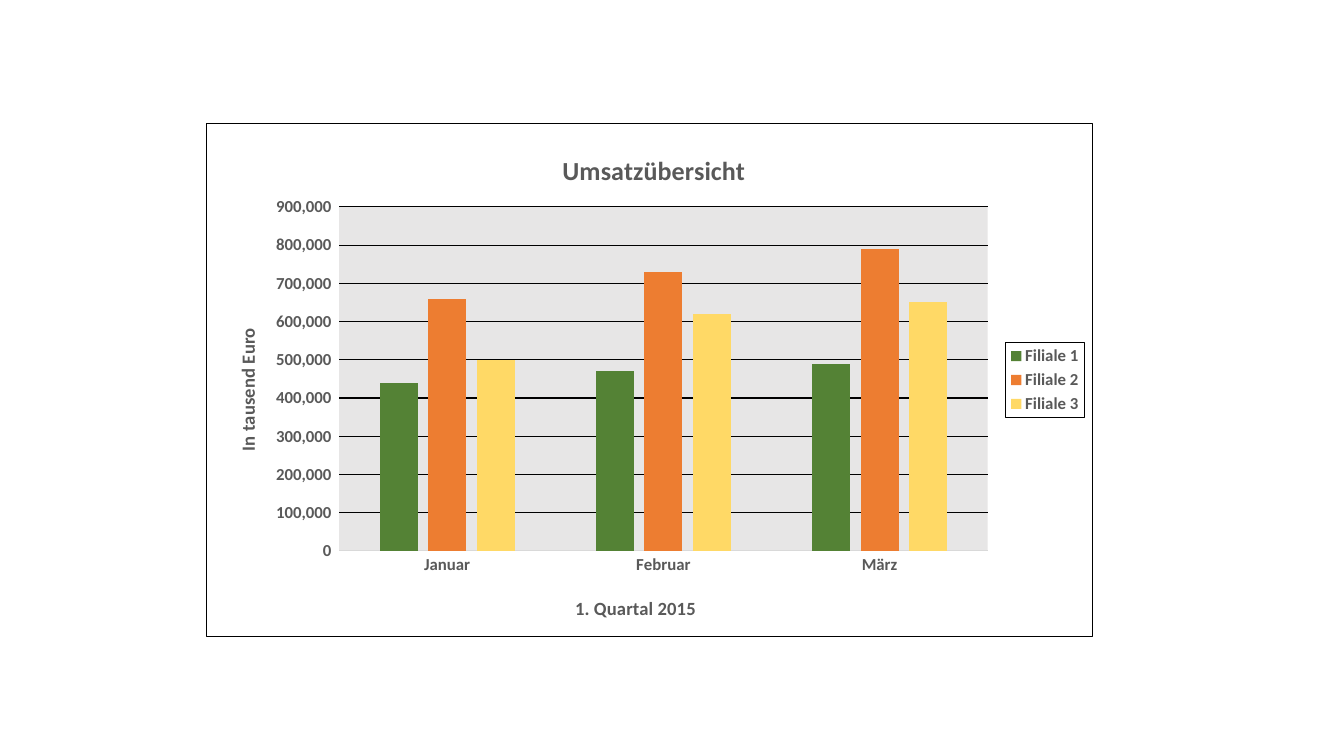
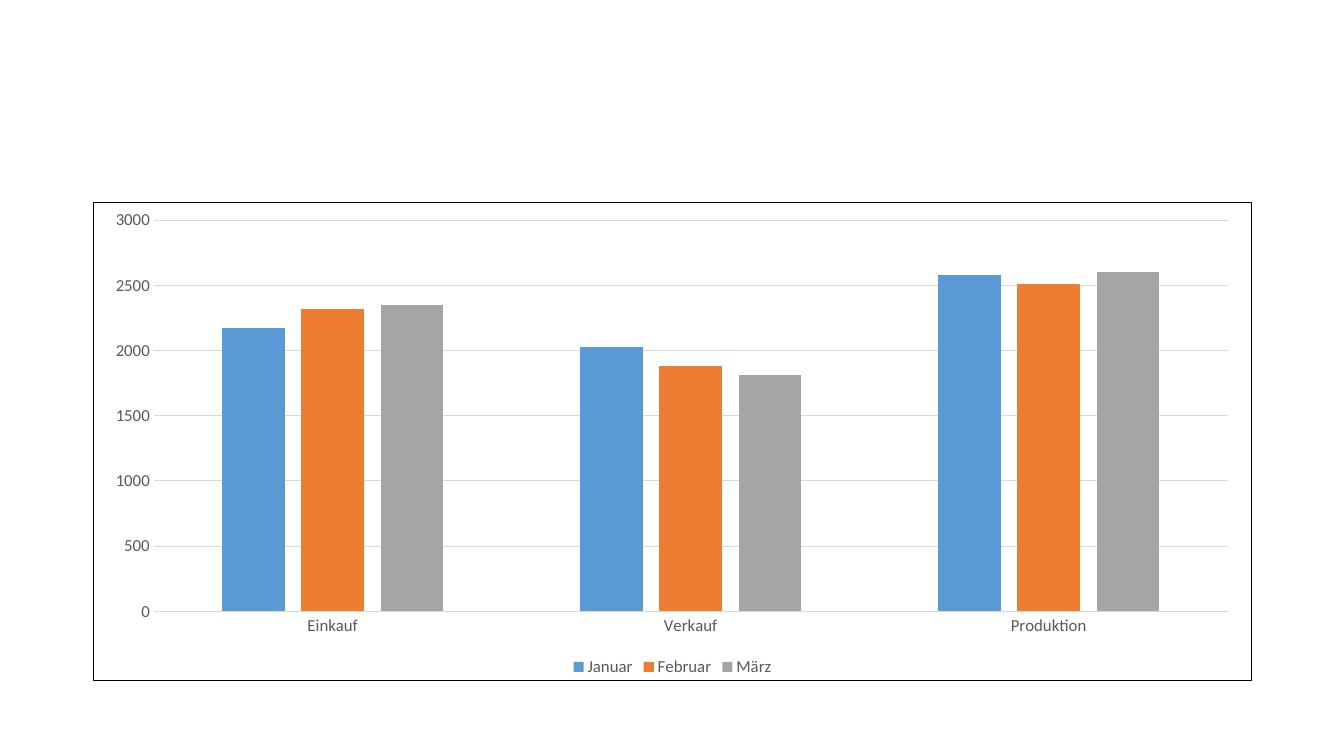
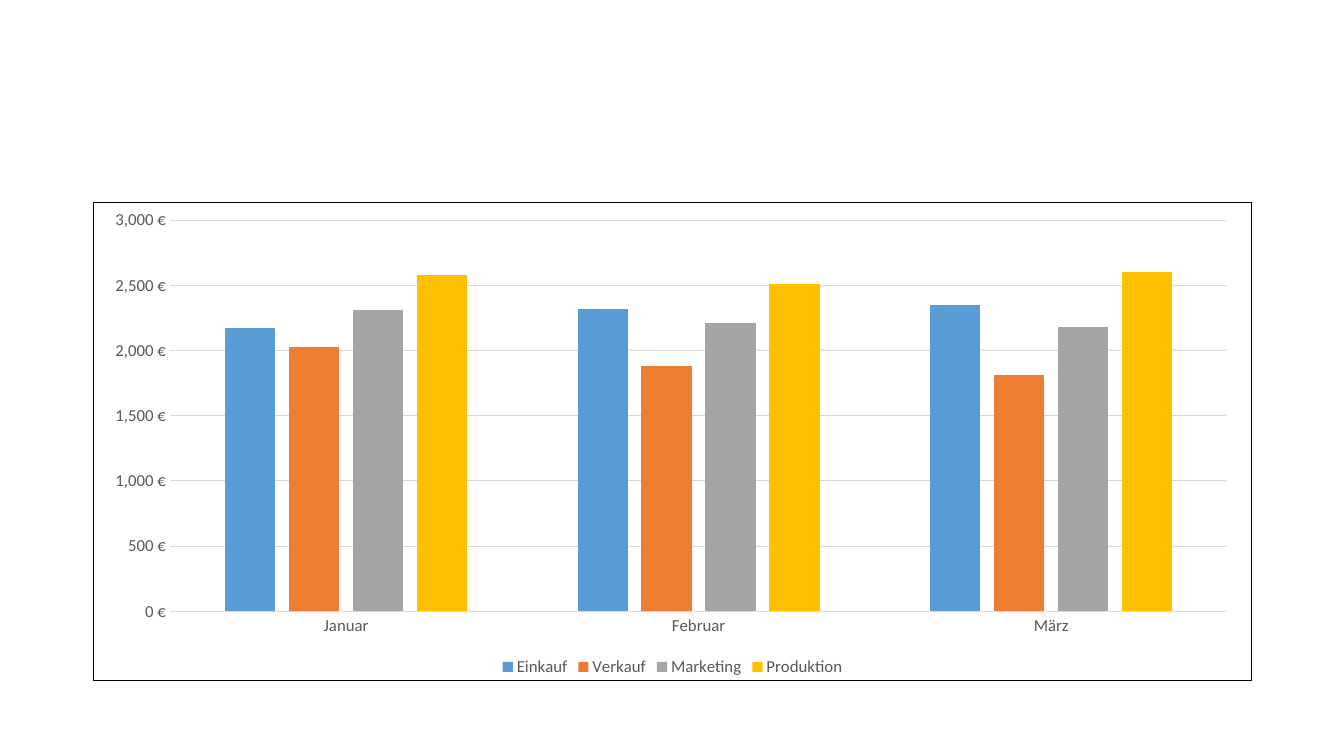
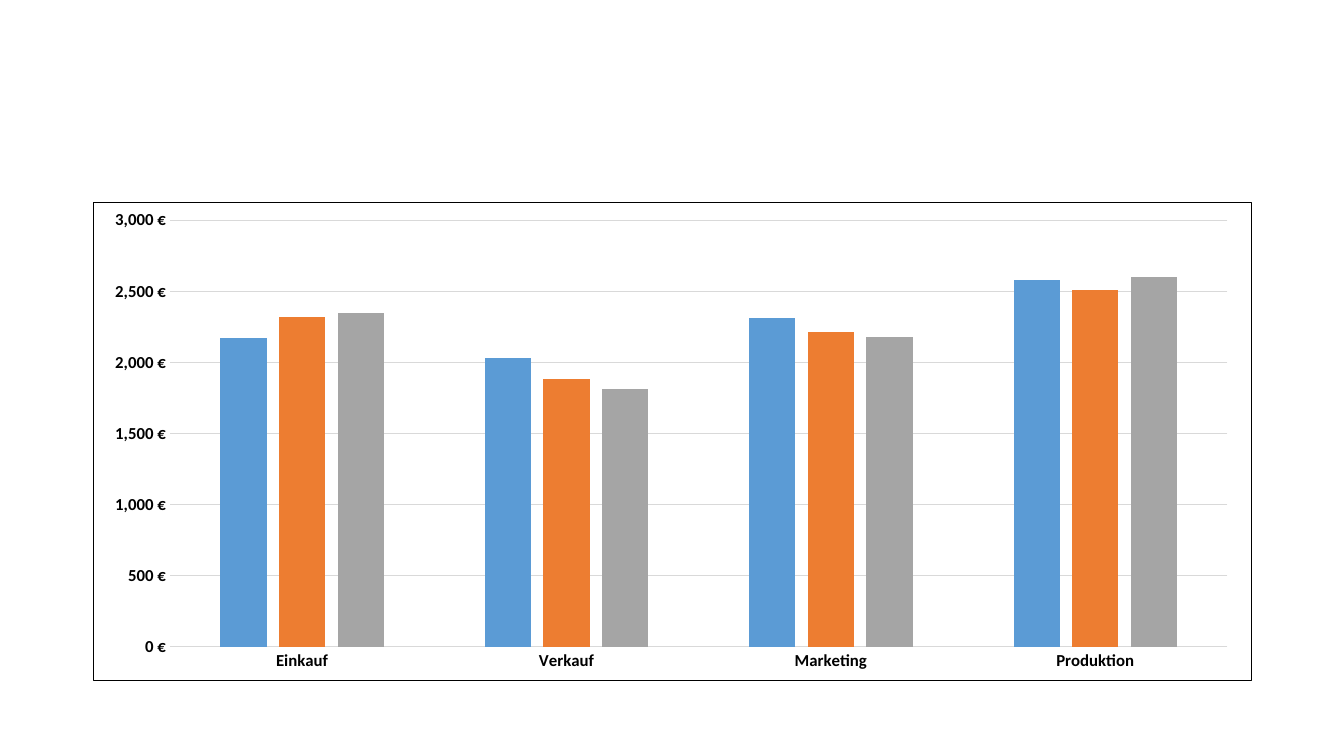
from pptx import Presentation
from pptx.chart.data import CategoryChartData
from pptx.dml.color import RGBColor
from pptx.enum.chart import XL_CHART_TYPE, XL_LEGEND_POSITION, XL_TICK_MARK
from pptx.oxml import parse_xml
from pptx.oxml.ns import nsdecls, qn
from pptx.util import Inches, Pt

CLUSTERED = XL_CHART_TYPE.COLUMN_CLUSTERED
RIGHT, BOTTOM = XL_LEGEND_POSITION.RIGHT, XL_LEGEND_POSITION.BOTTOM
NO_TICK = XL_TICK_MARK.NONE

COLORS = {
    "black": "000000", "text": "595959", "grid": "D9D9D9", "plot": "E7E6E6",
    "green": "548235", "orange": "ED7D31", "yellow": "FFD966",
    "blue": "5B9BD5", "gray": "A5A5A5", "gold": "FFC000",
}
PALETTE = ["blue", "orange", "gray", "gold"]
EURO = '#,##0\\ "€"'
MONTHS = ["Januar", "Februar", "März"]
COSTS = {
    "Einkauf": [2170, 2320, 2350],
    "Verkauf": [2030, 1880, 1810],
    "Marketing": [2310, 2210, 2180],
    "Produktion": [2580, 2510, 2600],
}


def rgb(name):
    return RGBColor.from_string(COLORS[name])


def format_font(font, size=12, color="text", bold=False):
    font.name = "Calibri"
    font.size = Pt(size)
    font.bold = bold
    font.color.rgb = rgb(color)


def write(frame, text, **style):
    frame.text = text
    format_font(frame.paragraphs[0].runs[0].font, **style)


def draw_line(line, color):
    line.color.rgb = rgb(color)
    line.width = Pt(0.75)


def area_format(fill=None, border=None):
    def paint(color):
        if color is None:
            return "<a:noFill/>"
        return f'<a:solidFill><a:srgbClr val="{COLORS[color]}"/></a:solidFill>'
    return parse_xml(f'<c:spPr {nsdecls("c", "a")}>{paint(fill)}'
                     f'<a:ln w="{Pt(0.75)}">{paint(border)}</a:ln></c:spPr>')


class Deck:
    def __init__(self):
        self.prs = Presentation()
        self.prs.slide_width = Inches(13.33)
        self.prs.slide_height = Inches(7.5)
        self.slide = None

    def new_slide(self):
        self.slide = self.prs.slides.add_slide(self.prs.slide_layouts[6])

    def columns(self, categories, series, plot, top, step, frame=(0.92, 2, 11.5, 4.76),
                colors=PALETTE, number_format="General", gap=219,
                text="text", bold=False, grid="grid"):
        data = CategoryChartData()
        data.categories = categories
        for name, values in series.items():
            data.add_series(name, values)
        chart = self.slide.shapes.add_chart(
            CLUSTERED, *[Inches(length) for length in frame], data).chart
        format_font(chart.font, size=10, color="black")
        chart.has_title = False
        chart.has_legend = False

        bars = chart.plots[0]
        bars.gap_width, bars.overlap, bars.vary_by_categories = gap, -27, False
        for group, color in zip(bars.series, colors):
            group.format.fill.solid()
            group.format.fill.fore_color.rgb = rgb(color)
            group.invert_if_negative = False

        for axis in (chart.category_axis, chart.value_axis):
            axis.major_tick_mark = axis.minor_tick_mark = NO_TICK
            format_font(axis.tick_labels.font, color=text, bold=bold)
        draw_line(chart.category_axis.format.line, "grid")
        scale = chart.value_axis
        scale.minimum_scale, scale.maximum_scale, scale.major_unit = 0, top, step
        scale.format.line.fill.background()
        scale.has_major_gridlines = True
        draw_line(scale.major_gridlines.format.line, grid)
        scale.tick_labels.number_format = number_format
        scale.tick_labels.number_format_is_linked = False

        chart.element.find(qn("c:chart")).addnext(area_format(border="black"))
        self.place(chart.element.find(".//" + qn("c:plotArea")), frame, plot)
        return chart

    def place(self, part, frame, box):
        target = ""
        if len(box) == 4:
            target = '<c:layoutTarget val="inner"/>'
        modes = '<c:xMode val="edge"/><c:yMode val="edge"/>'
        sizes = "".join(f'<c:{key} val="{length / whole:.4f}"/>'
                        for key, length, whole in zip("xywh", box, frame[2:] * 2))
        layout = parse_xml(f'<c:layout {nsdecls("c")}><c:manualLayout>'
                           f'{target}{modes}{sizes}</c:manualLayout></c:layout>')
        previous = part.find(qn("c:layout"))
        if previous is not None:
            part.remove(previous)
        text = part.find(qn("c:tx"))
        if text is None:
            part.insert(0, layout)
        else:
            text.addnext(layout)

    def legend(self, chart, position, bold=False):
        chart.has_legend = True
        chart.legend.position = position
        chart.legend.include_in_layout = False
        format_font(chart.legend.font, bold=bold)

    def axis_title(self, axis, text, frame, spot, rotation=0):
        write(axis.axis_title.text_frame, text, size=13.3, bold=True)
        heading = axis.axis_title.element
        body = heading.find(".//" + qn("a:bodyPr"))
        body.set("rot", str(rotation * 60000))
        body.set("vert", "horz")
        self.place(heading, frame, spot)


def sales_slide(deck):
    deck.new_slide()
    frame = (2.04, 1.22, 8.8, 5.1)
    sales = {
        "Filiale 1": [440000, 470000, 490000],
        "Filiale 2": [660000, 730000, 790000],
        "Filiale 3": [500000, 620000, 650000],
    }
    chart = deck.columns(MONTHS, sales, (1.32, 0.83, 6.44, 3.42), 900000, 100000,
                         frame=frame, colors=["green", "orange", "yellow"],
                         number_format="#,##0_);[Red]\\(#,##0\\)", gap=214,
                         bold=True, grid="black")
    chart.has_title = True
    write(chart.chart_title.text_frame, "Umsatzübersicht", size=18.6, bold=True)
    deck.place(chart.chart_title.element, frame, (3.49, 0.24))
    deck.axis_title(chart.category_axis, "1. Quartal 2015", frame, (3.63, 4.66))
    deck.axis_title(chart.value_axis, "In tausend Euro", frame, (0.25, 2), rotation=-90)
    deck.legend(chart, RIGHT, bold=True)
    legend = chart.element.find(".//" + qn("c:legend"))
    legend.find(qn("c:overlay")).addnext(area_format(border="black"))
    chart.element.find(".//" + qn("c:plotArea")).append(area_format(fill="plot"))


def by_month(departments, names):
    return {name: [COSTS[department][index] for department in departments]
            for index, name in enumerate(names)}


def cost_slides(deck):
    deck.new_slide()
    departments = ["Einkauf", "Verkauf", "Produktion"]
    chart = deck.columns(departments, by_month(departments, MONTHS),
                         (0.6, 0.18, 10.66, 3.89), 3000, 500)
    deck.legend(chart, BOTTOM)

    deck.new_slide()
    chart = deck.columns(MONTHS, COSTS, (0.76, 0.18, 10.5, 3.89), 3000, 500,
                         number_format=EURO)
    deck.legend(chart, BOTTOM)

    deck.new_slide()
    deck.columns(list(COSTS), by_month(COSTS, ["Series 1", "Series 2", "Series 3"]),
                 (0.76, 0.18, 10.5, 4.24), 3000, 500,
                 number_format=EURO, text="black", bold=True)


def main():
    deck = Deck()
    sales_slide(deck)
    cost_slides(deck)
    deck.prs.save("out.pptx")


if __name__ == "__main__":
    main()
